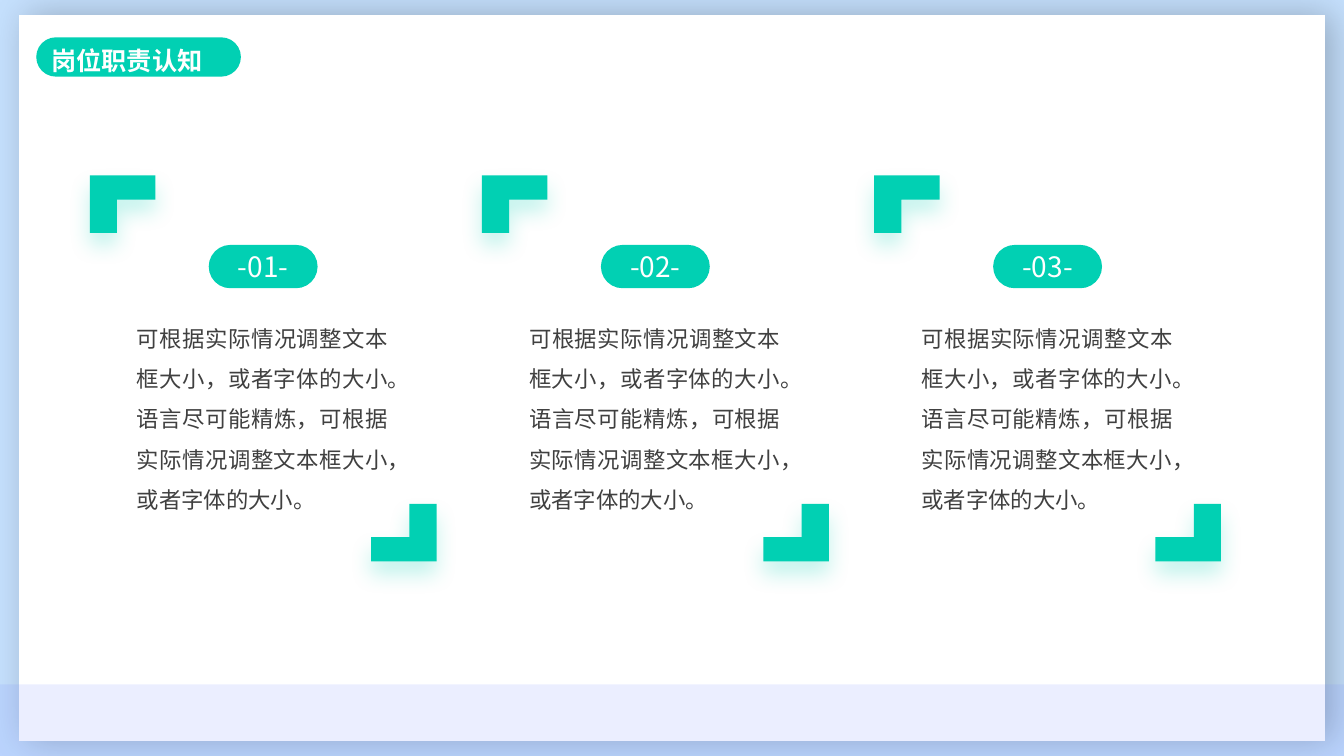
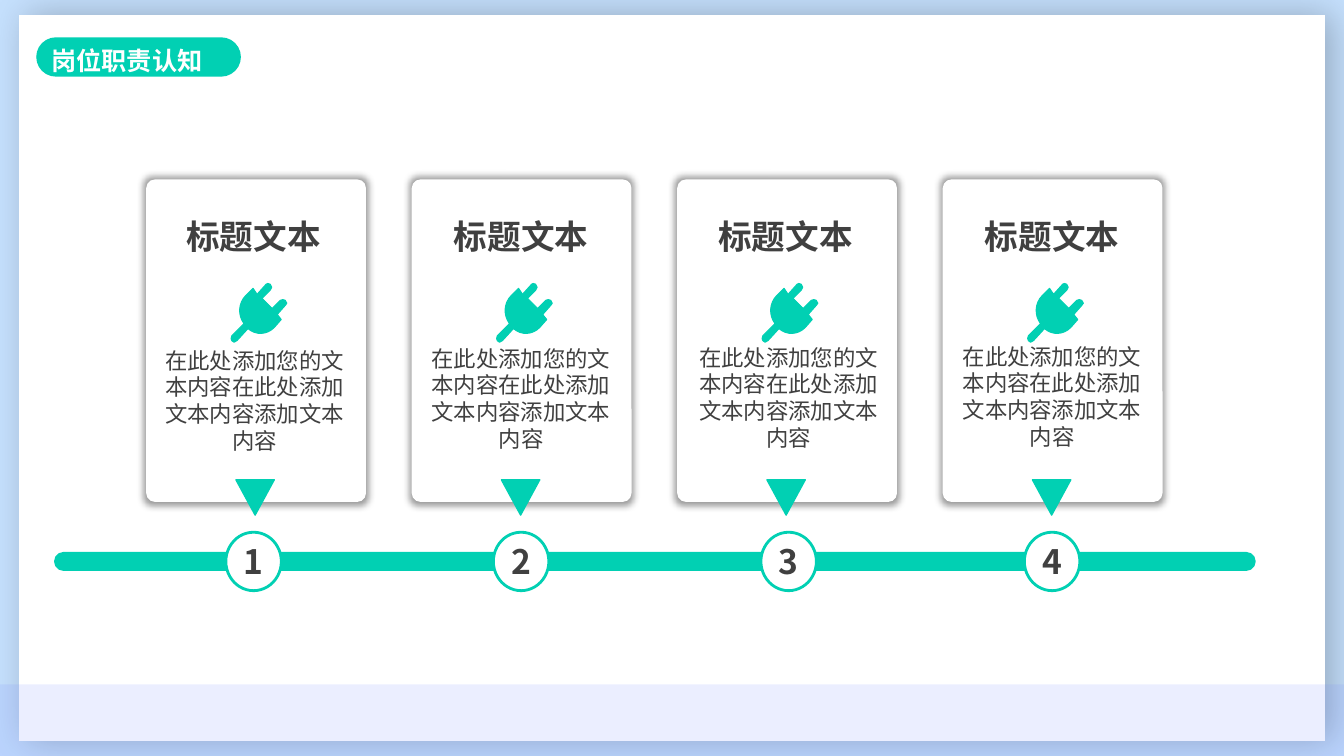
from lxml.etree import SubElement
from pptx import Presentation
from pptx.dml.color import RGBColor
from pptx.enum.shapes import MSO_SHAPE as SHAPE
from pptx.enum.text import MSO_ANCHOR as ANCHOR, PP_ALIGN as ALIGN
from pptx.oxml.ns import qn
from pptx.util import Inches, Pt

TEAL = RGBColor(0x01, 0xD0, 0xB3)
SKY = RGBColor(0xC5, 0xE0, 0xFD)
LAVENDER = RGBColor(0x78, 0x89, 0xFF)
WHITE = RGBColor(0xFF, 0xFF, 0xFF)
BLACK = RGBColor(0x00, 0x00, 0x00)
CHARCOAL = RGBColor(0x40, 0x40, 0x40)
FONT = "Noto Sans CJK SC"
SLIDE_W, SLIDE_H = 13.33, 7.5

SECTION = "岗位职责认知"
DUTY = "可根据实际情况调整文本框大小，或者字体的大小。语言尽可能精炼，可根据实际情况调整文本框大小，或者字体的大小。"
STEP_TITLE = "标题文本"
STEP_TEXT = "在此处添加您的文本内容在此处添加文本内容添加文本内容"

# Offsets within each card: title left, text left, text top, marker left.
STEP_OFFSETS = [(0.02, 0.06, 1.61, 0.79), (0.04, 0.07, 1.59, 0.81),
                (0.03, 0.09, 1.58, 0.83), (0.04, 0.07, 1.57, 0.81)]

# Plug outline from its top left corner: one point is a line, three are a curve.
PLUG_START = (0.43, 0.44)
PLUG_SEGMENTS = [
    [(0.36, 0.51), (0.25, 0.52), (0.17, 0.45)], [(0.06, 0.57)],
    [(0.04, 0.59), (0.02, 0.59), (0.01, 0.57)],
    [(0, 0.56), (0, 0.54), (0.01, 0.52)], [(0.13, 0.4)],
    [(0.07, 0.32), (0.07, 0.2), (0.15, 0.12)],
    [(0.22, 0.05)], [(0.26, 0.11)], [(0.35, 0.01)],
    [(0.35, 0), (0.38, 0), (0.39, 0.01)],
    [(0.41, 0.03), (0.41, 0.05), (0.39, 0.07)],
    [(0.31, 0.15)], [(0.41, 0.25)], [(0.49, 0.17)],
    [(0.5, 0.16), (0.53, 0.16), (0.54, 0.17)],
    [(0.56, 0.19), (0.56, 0.21), (0.54, 0.22)], [(0.46, 0.31)], [(0.5, 0.36)],
]


def paint(shape, fill, line=None, weight=1):
    """Give a shape its fill and outline, without a shadow."""
    shape.shadow.inherit = False
    shape.fill.solid()
    shape.fill.fore_color.rgb = fill
    if line is None:
        shape.line.fill.background()
    else:
        shape.line.color.rgb = line
        shape.line.width = Pt(weight)


def add_shadow(shape, color, alpha, blur, distance=0, angle=0, scale=100):
    """Add an outer shadow; alpha and scale in percent, lengths in points."""
    effects = shape._element.spPr.find(qn("a:effectLst"))
    size = str(scale * 1000)
    outer = SubElement(effects, qn("a:outerShdw"), blurRad=str(Pt(blur)),
                       dist=str(Pt(distance)), dir=str(angle * 60000),
                       sx=size, sy=size, algn="ctr", rotWithShape="0")
    tint = SubElement(outer, qn("a:srgbClr"), val=str(color))
    SubElement(tint, qn("a:alpha"), val=str(alpha * 1000))


def add_block(slide, kind, box, fill, line=None, weight=1, corner=None):
    """Add a preset shape in box (left, top, width, height)."""
    shape = slide.shapes.add_shape(kind, *map(Inches, box))
    if corner is not None:
        shape.adjustments[0] = corner
    paint(shape, fill, line, weight)
    return shape


def write(shape, text, size, color, align, bold=False, spacing=None):
    """Write one paragraph into a shape."""
    paragraph = shape.text_frame.paragraphs[0]
    paragraph.text = text
    paragraph.alignment = align
    if spacing:
        paragraph.line_spacing = spacing
    font = paragraph.font
    font.size, font.bold, font.name = Pt(size), bold, FONT
    font.color.rgb = color
    defaults = paragraph._p.pPr.find(qn("a:defRPr"))
    SubElement(defaults, qn("a:ea"), typeface=FONT)


def add_text(slide, box, text, size, color, align, **style):
    """Add a wrapping text box."""
    label = slide.shapes.add_textbox(*map(Inches, box))
    label.text_frame.word_wrap = True
    write(label, text, size, color, align, **style)


def add_outline(slide, points, left, top):
    """Add a closed polygon whose points are relative to left, top."""
    corners = [(Inches(left + x), Inches(top + y)) for x, y in points]
    builder = slide.shapes.build_freeform(*corners[0])
    builder.add_line_segments(corners[1:], close=True)
    return builder.convert_to_shape()


def add_frame(prs):
    """Add a slide with its backdrop, sheet, bottom band and section label."""
    slide = prs.slides.add_slide(prs.slide_layouts[6])
    add_block(slide, SHAPE.RECTANGLE, (0, 0, SLIDE_W, SLIDE_H), SKY)
    sheet = add_block(slide, SHAPE.RECTANGLE, (0.19, 0.15, 12.95, 7.2), WHITE)
    add_shadow(sheet, BLACK, 24, 26, 6)
    band = add_block(slide, SHAPE.ROUNDED_RECTANGLE, (-0.99, 6.79, 15.37, 3.73), LAVENDER)
    tint = band._element.spPr.find(qn("a:solidFill"))[0]
    SubElement(tint, qn("a:alpha"), val="14000")
    add_block(slide, SHAPE.ROUNDED_RECTANGLE, (0.36, 0.37, 2.03, 0.39), TEAL, corner=0.5)
    add_text(slide, (0.41, 0.4, 1.91, 0.4), SECTION, 18, WHITE, ALIGN.JUSTIFY, bold=True)
    return slide


def add_bracket(slide, left, top, turned=False):
    """Add a corner bracket, opening down right or, turned, up left."""
    width, height, post, bar = 0.65, 0.57, 0.27, 0.24
    points = [(0, 0), (width, 0), (width, bar), (post, bar), (post, height), (0, height)]
    if turned:
        points = [(width - x, height - y) for x, y in points]
    bracket = add_outline(slide, points, left, top)
    paint(bracket, TEAL)
    add_shadow(bracket, TEAL, 23, 16, 9, 90)


def add_duty(slide, left, top, number):
    """Add a numbered duty between two corner brackets."""
    add_bracket(slide, left + 2.79, top + 3.26, turned=True)
    add_bracket(slide, left, top)
    add_text(slide, (left + 0.37, top + 1.3, 2.69, 2.12), DUTY, 16, CHARCOAL,
             ALIGN.JUSTIFY, spacing=1.5)
    pill = add_block(slide, SHAPE.ROUNDED_RECTANGLE, (left + 1.18, top + 0.69, 1.08, 0.43),
                     TEAL, corner=0.5)
    pill.text_frame.vertical_anchor = ANCHOR.MIDDLE
    write(pill, f"-{number:02}-", 20, WHITE, ALIGN.CENTER)


def add_plug(slide, left, top):
    """Add the plug icon, turning each triple of points into a curve."""
    points = [PLUG_START] + [point for segment in PLUG_SEGMENTS for point in segment]
    plug = add_outline(slide, points, left, top)
    steps = iter(list(plug._element.iter(qn("a:lnTo"))))
    for segment in PLUG_SEGMENTS:
        lines = [next(steps) for _ in segment]
        if len(lines) == 3:
            outline = lines[0].getparent()
            curve = SubElement(outline, qn("a:cubicBezTo"))
            outline.replace(lines[0], curve)
            curve.append(lines[0][0])
            for line in lines[1:]:
                curve.append(line[0])
                outline.remove(line)
    paint(plug, TEAL, TEAL, 0.75)


def add_step(slide, left, top, number, offsets):
    """Add a step card with icon, pointer and its number on the timeline."""
    title_left, text_left, text_top, marker_left = offsets
    card = add_block(slide, SHAPE.ROUNDED_RECTANGLE, (left, top, 2.18, 3.2), WHITE,
                     corner=0.04)
    add_shadow(card, BLACK, 40, 5, scale=102)
    add_plug(slide, left + 0.84, top + 1.03)
    pointer = add_block(slide, SHAPE.ISOSCELES_TRIANGLE,
                        (left + 0.89, top + 2.98, 0.38, 0.35), TEAL, TEAL)
    pointer.rotation = 180
    marker = add_block(slide, SHAPE.OVAL, (left + marker_left, top + 3.5, 0.55, 0.58),
                       WHITE, TEAL, 2)
    frame = marker.text_frame
    frame.margin_left = frame.margin_right = frame.margin_top = frame.margin_bottom = 0
    frame.word_wrap = False
    frame.vertical_anchor = ANCHOR.MIDDLE
    write(marker, str(number), 24, CHARCOAL, ALIGN.CENTER, bold=True)
    add_text(slide, (left + text_left, top + text_top, 2.03, 1.18), STEP_TEXT, 16,
             CHARCOAL, ALIGN.CENTER)
    add_text(slide, (left + title_left, top + 0.31, 2.09, 0.5), STEP_TITLE, 24,
             CHARCOAL, ALIGN.CENTER, bold=True)


def build_duties(prs):
    """Build the slide of three duties."""
    slide = add_frame(prs)
    for index in range(3):
        add_duty(slide, 0.89 + index * 3.89, 1.74, index + 1)


def build_timeline(prs):
    """Build the slide of four steps along a timeline."""
    slide = add_frame(prs)
    add_block(slide, SHAPE.ROUNDED_RECTANGLE, (0.55, 5.49, 11.89, 0.16), TEAL, TEAL, 2,
              corner=0.5)
    pitch = (9.35 - 1.45) / 3
    for index, offsets in enumerate(STEP_OFFSETS):
        add_step(slide, 1.45 + index * pitch, 1.78, index + 1, offsets)


deck = Presentation()
deck.slide_width, deck.slide_height = Inches(SLIDE_W), Inches(SLIDE_H)
build_duties(deck)
build_timeline(deck)
deck.save("out.pptx")
